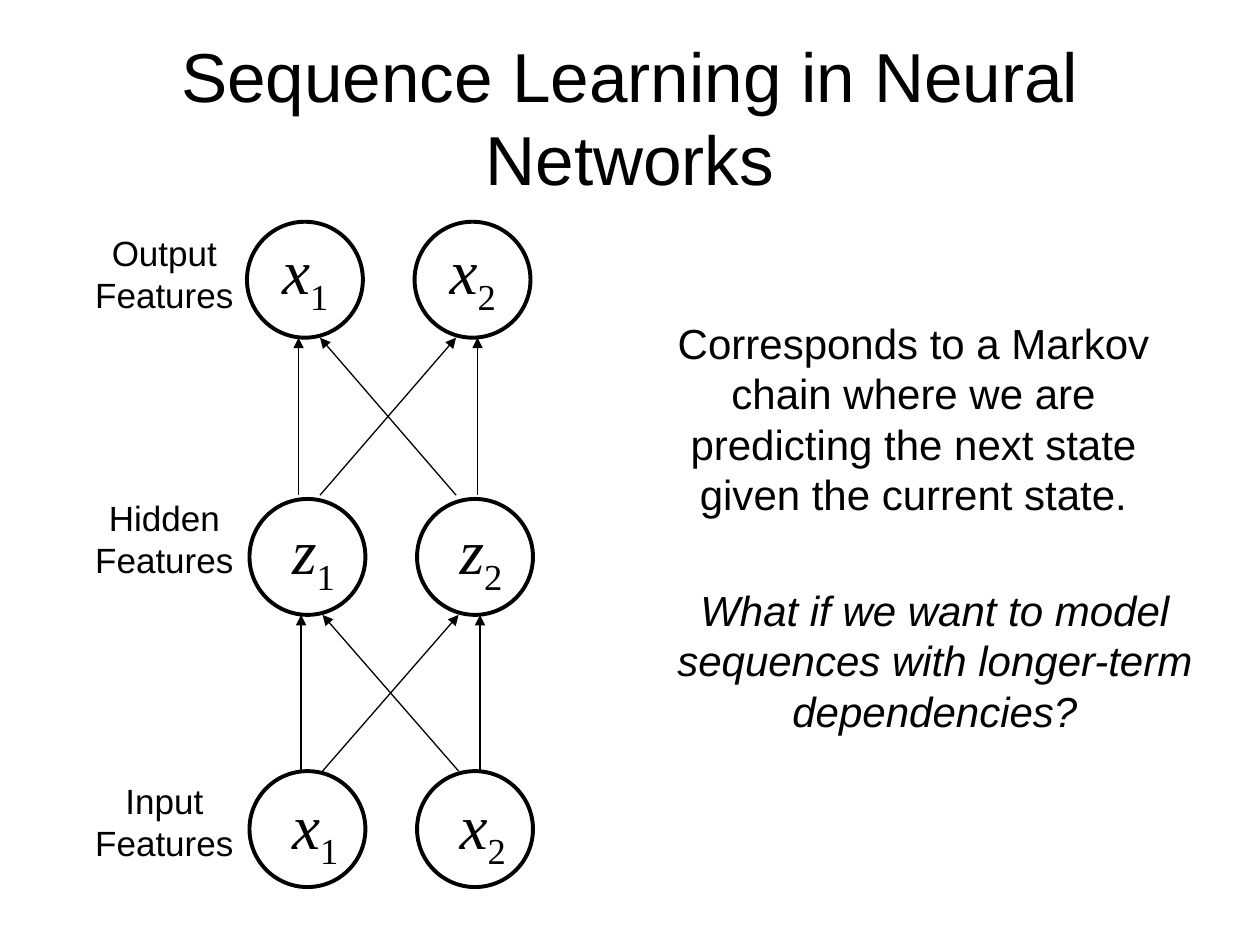
from itertools import product

from lxml import etree
from pptx import Presentation
from pptx import util as u
from pptx.dml.color import RGBColor
from pptx.enum import shapes, text
from pptx.oxml.ns import qn

COLOURS = {"ink": "000000", "paper": "FFFFFF"}
FORMATS = {
    "title": {"name": "Arial", "size": u.Pt(39.6)},
    "label": {"name": "Arial", "size": u.Pt(20)},
    "note": {"name": "Arial", "size": u.Pt(24)},
    "question": {"name": "Arial", "size": u.Pt(24), "italic": True},
    "symbol": {"name": "Times New Roman", "size": u.Pt(36), "italic": True},
    "index": {"name": "Times New Roman", "size": u.Pt(36), "italic": False},
}
CENTER = text.PP_ALIGN.CENTER
DIAMETER = 0.92
COLUMN_STEP = 1.33
PORTS = ((0.41, 0.58), (1.83, 1.66))


class SlideStyle:
    def __init__(self, page):
        self.page = page

    def colour(self, key):
        return RGBColor.from_string(COLOURS[key])

    def span(self, para, words, style):
        span = para.add_run()
        span.text = words
        for name, value in FORMATS[style].items():
            setattr(span.font, name, value)
        span.font.color.rgb = self.colour("ink")
        return span

    def title(self, words, area):
        box = self.page.shapes.title
        box.left, box.top, box.width, box.height = map(u.Inches, area)
        frame = box.text_frame
        frame.auto_size = text.MSO_AUTO_SIZE.NONE
        frame.vertical_anchor = text.MSO_ANCHOR.MIDDLE
        para = frame.paragraphs[0]
        para.alignment = CENTER
        self.span(para, words, "title")

    def textbox(self, area, wrap=True):
        box = self.page.shapes.add_textbox(*map(u.Inches, area))
        frame = box.text_frame
        frame.word_wrap = wrap
        frame.auto_size = text.MSO_AUTO_SIZE.SHAPE_TO_FIT_TEXT
        return frame.paragraphs[0]

    def caption(self, words, area, style):
        para = self.textbox(area)
        para.alignment = CENTER
        self.span(para, words, style)

    def symbol(self, letter, index, left, top):
        para = self.textbox((left, top, 0.59, 0.7), wrap=False)
        self.span(para, letter, "symbol")
        subscript = self.span(para, index, "index")
        subscript._r.get_or_add_rPr().set("baseline", "-25000")

    def node(self, left, top):
        area = map(u.Inches, (left, top, DIAMETER, DIAMETER))
        circle = self.page.shapes.add_shape(shapes.MSO_SHAPE.OVAL, *area)
        circle.shadow.inherit = False
        circle.fill.solid()
        circle.fill.fore_color.rgb = self.colour("paper")
        circle.line.color.rgb = self.colour("ink")
        circle.line.width = u.Pt(2.25)

    def arrow(self, start, end):
        points = map(u.Inches, (*start, *end))
        arrow = self.page.shapes.add_connector(shapes.MSO_CONNECTOR.STRAIGHT, *points)
        arrow.line.color.rgb = self.colour("ink")
        arrow.line.width = u.Pt(0.75)
        properties = arrow.element.spPr
        etree.SubElement(properties.find(qn("a:ln")), qn("a:tailEnd"), type="triangle")
        etree.SubElement(properties, qn("a:effectLst"))

    def layer(self, name, letter, left, top, label_top, symbol_shift):
        across, down = symbol_shift
        for column in range(2):
            node_left = left + column * COLUMN_STEP
            self.node(node_left, top)
            self.symbol(letter, str(column + 1), node_left + across, top + down)
        self.caption(f"{name} Features", (0.47, label_top, 1.67, 0.77), "label")

    def links(self, left, lower, upper):
        for source, target in product(range(2), repeat=2):
            crossing = int(source != target)
            start = (left + PORTS[source][crossing], lower)
            end = (left + PORTS[target][crossing], upper)
            self.arrow(start, end)


def main():
    deck = Presentation()
    deck.slide_width, deck.slide_height = u.Inches(10), u.Inches(7.5)
    style = SlideStyle(deck.slides.add_slide(deck.slide_layouts[5]))
    style.title("Sequence Learning in Neural Networks", (0.5, 0.3, 9, 1.25))

    style.layer("Input", "x", 1.98, 6.12, 6.14, (0.24, 0.07))
    style.layer("Hidden", "z", 1.98, 3.96, 3.89, (0.24, 0.05))
    style.layer("Output", "x", 1.96, 1.76, 1.79, (0.18, 0.03))
    style.links(1.98, 6.12, 3.96 + DIAMETER)
    style.links(1.96, 3.93, 1.76 + DIAMETER)

    style.caption(
        "Corresponds to a Markov chain where we are predicting the next state "
        "given the current state.",
        (5, 2.47, 4.5, 1.72),
        "note",
    )
    style.caption(
        "What if we want to model sequences with longer-term dependencies?",
        (5.17, 4.59, 4.5, 1.31),
        "question",
    )
    deck.save("out.pptx")


if __name__ == "__main__":
    main()
